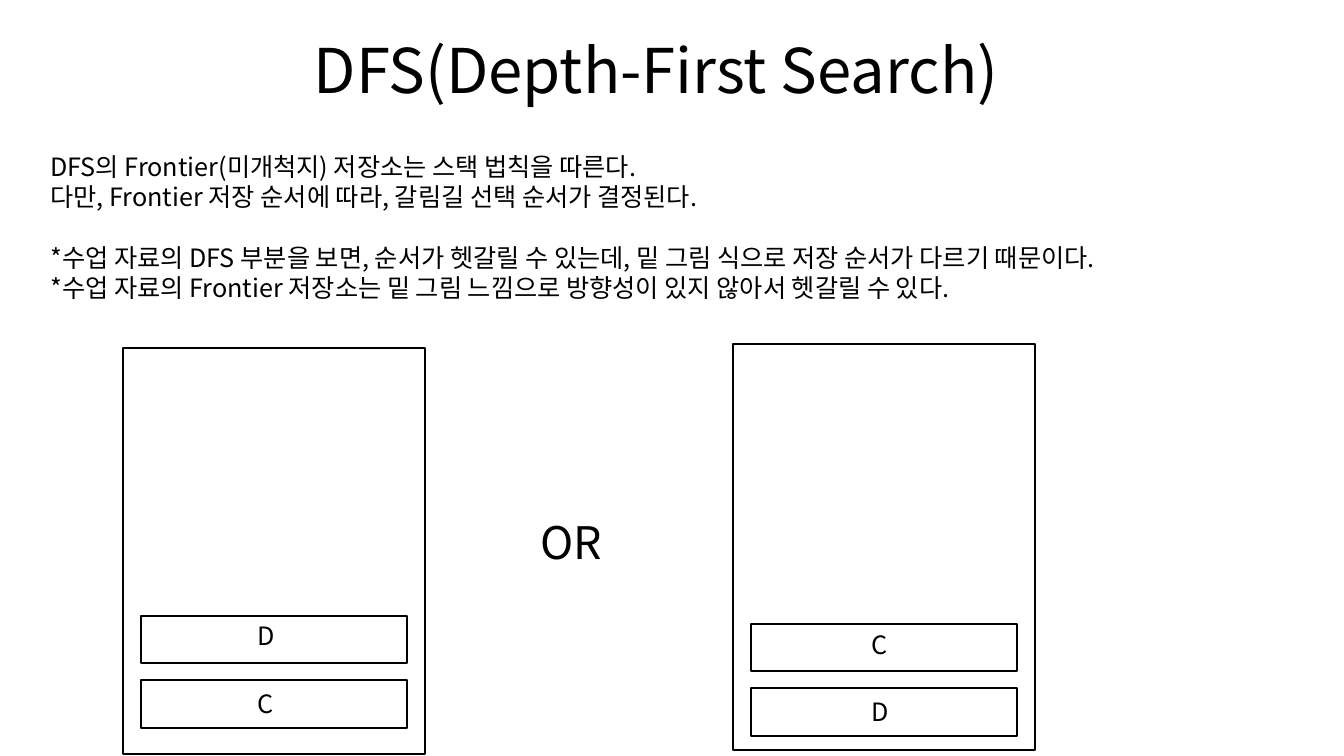
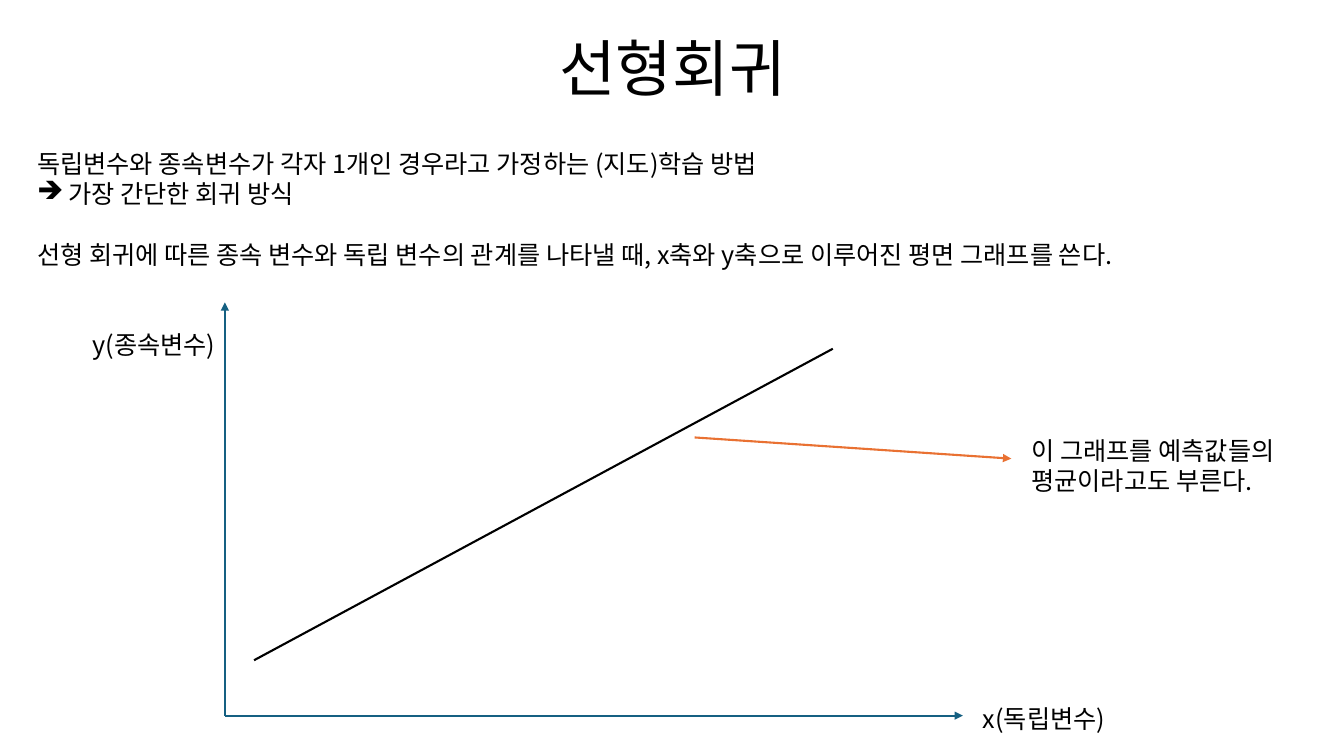
from dataclasses import dataclass

from pptx import Presentation
from pptx import util as u
from pptx.dml.color import RGBColor
from pptx.enum import shapes, text
from pptx.oxml.ns import qn
from lxml import etree

PX = 9144  # EMU in one px, 100 px to the inch


@dataclass(frozen=True)
class Theme:
    font: str = "Noto Sans CJK KR"
    ink: str = "000000"
    paper: str = "FFFFFF"
    axis: str = "156082"
    accent: str = "E97132"
    title: int = 44
    large: int = 32
    body: int = 18
    gap: int = 22
    stroke: float = 1.5


def px(n):
    return u.Emu(n * PX)


def rgb(code):
    return RGBColor.from_string(code)


class Deck:
    def __init__(self, theme):
        self.theme = theme
        self.prs = Presentation()
        self.prs.slide_width, self.prs.slide_height = px(1333), px(750)
        self.slide = None

    def page(self, title, x, y):
        self.slide = self.prs.slides.add_slide(self.prs.slide_layouts[6])
        fill = self.slide.background.fill
        fill.solid()
        fill.fore_color.rgb = rgb(self.theme.paper)
        frame = self.note([title], x, y, 1150, 145, self.theme.title)
        frame.vertical_anchor = text.MSO_ANCHOR.MIDDLE
        par = frame.paragraphs[0]
        par.alignment = text.PP_ALIGN.CENTER
        par.line_spacing = 0.9

    def run(self, par, words, size):
        run = par.add_run()
        run.text = words
        run.font.size = u.Pt(size)
        run.font.name = self.theme.font
        run.font.color.rgb = rgb(self.theme.ink)
        east = etree.SubElement(run.font._element, qn("a:ea"))
        east.set("typeface", self.theme.font)

    def note(self, lines, x, y, w, h, size=None):
        """Add a wrapped text box, one paragraph per line, and return its frame."""
        box = self.slide.shapes.add_textbox(px(x), px(y), px(w), px(h))
        frame = box.text_frame
        frame.word_wrap = True
        for i, line in enumerate(lines):
            par = frame.add_paragraph() if i else frame.paragraphs[0]
            self.run(par, line, size or self.theme.body)
        return frame

    def gap(self, par):
        par.space_before = u.Pt(self.theme.gap)

    def bullet(self, par, mark, indent):
        props = par._p.get_or_add_pPr()
        props.set("marL", str(px(indent)))
        props.set("indent", str(px(-indent)))
        etree.SubElement(props, qn("a:buChar")).set("char", mark)

    def rect(self, x, y, w, h):
        box = self.slide.shapes.add_shape(
            shapes.MSO_SHAPE.RECTANGLE, px(x), px(y), px(w), px(h))
        box.shadow.inherit = False
        box.fill.solid()
        box.fill.fore_color.rgb = rgb(self.theme.paper)
        box.line.color.rgb = rgb(self.theme.ink)
        box.line.width = u.Pt(self.theme.stroke)
        return box

    def stack(self, x, y, first, inset, labels):
        """Draw a container with labelled cells, listed from the top down."""
        self.rect(x, y, 300, 403)
        for i, label in enumerate(labels):
            frame = self.rect(x + 18, y + first + 64 * i, 264, 47).text_frame
            frame.vertical_anchor = text.MSO_ANCHOR.TOP
            frame.margin_left = px(inset)
            frame.margin_top, frame.margin_bottom = px(5 + 3 * i), 0
            par = frame.paragraphs[0]
            par.alignment = text.PP_ALIGN.LEFT
            self.run(par, label, self.theme.body)

    def line(self, start, end, color, arrow=True):
        line = self.slide.shapes.add_connector(
            shapes.MSO_CONNECTOR.STRAIGHT, *map(px, start + end))
        line.line.color.rgb = rgb(color)
        line.line.width = u.Pt(self.theme.stroke)
        if arrow:
            tail = etree.SubElement(line.line._get_or_add_ln(), qn("a:tailEnd"))
            tail.set("type", "triangle")
        etree.SubElement(line._element.spPr, qn("a:effectLst"))


def search(deck):
    deck.page("DFS(Depth-First Search)", 76, 0)
    frame = deck.note([
        "DFS의 Frontier(미개척지) 저장소는 스택 법칙을 따른다.",
        "다만, Frontier 저장 순서에 따라, 갈림길 선택 순서가 결정된다.",
        "*수업 자료의 DFS 부분을 보면, 순서가 헷갈릴 수 있는데, "
        "밑 그림 식으로 저장 순서가 다르기 때문이다.",
        "*수업 자료의 Frontier 저장소는 밑 그림 느낌으로 "
        "방향성이 있지 않아서 헷갈릴 수 있다.",
    ], 40, 145, 1245, 162)
    deck.gap(frame.paragraphs[2])
    deck.stack(122, 345, 266, 115, "DC")
    deck.stack(727, 341, 278, 119, "CD")
    deck.note(["OR"], 526, 506, 118, 64, deck.theme.large)


def regress(deck):
    theme = deck.theme
    deck.page("선형회귀", 92, -2)
    frame = deck.note([
        "독립변수와 종속변수가 각자 1개인 경우라고 가정하는 (지도)학습 방법",
        "가장 간단한 회귀 방식",
        "선형 회귀에 따른 종속 변수와 독립 변수의 관계를 나타낼 때, "
        "x축와 y축으로 이루어진 평면 그래프를 쓴다.",
    ], 27, 142, 1298, 132)
    deck.bullet(frame.paragraphs[1], "➔", 31)
    deck.gap(frame.paragraphs[2])
    origin = (223, 710)
    for tip in ((223, 300), (955, 710)):
        deck.line(origin, tip, theme.axis)
    deck.note(["x(독립변수)"], 965, 693, 193, 40)
    deck.note(["y(종속변수)"], 82, 322, 193, 40)
    deck.line((252, 655), (826, 346), theme.ink, arrow=False)
    deck.line((689, 434), (1003, 455), theme.accent)
    deck.note(["이 그래프를 예측값들의 평균이라고도 부른다."], 1013, 427, 298, 71)


def main():
    deck = Deck(Theme())
    search(deck)
    regress(deck)
    deck.prs.save("out.pptx")


if __name__ == "__main__":
    main()
